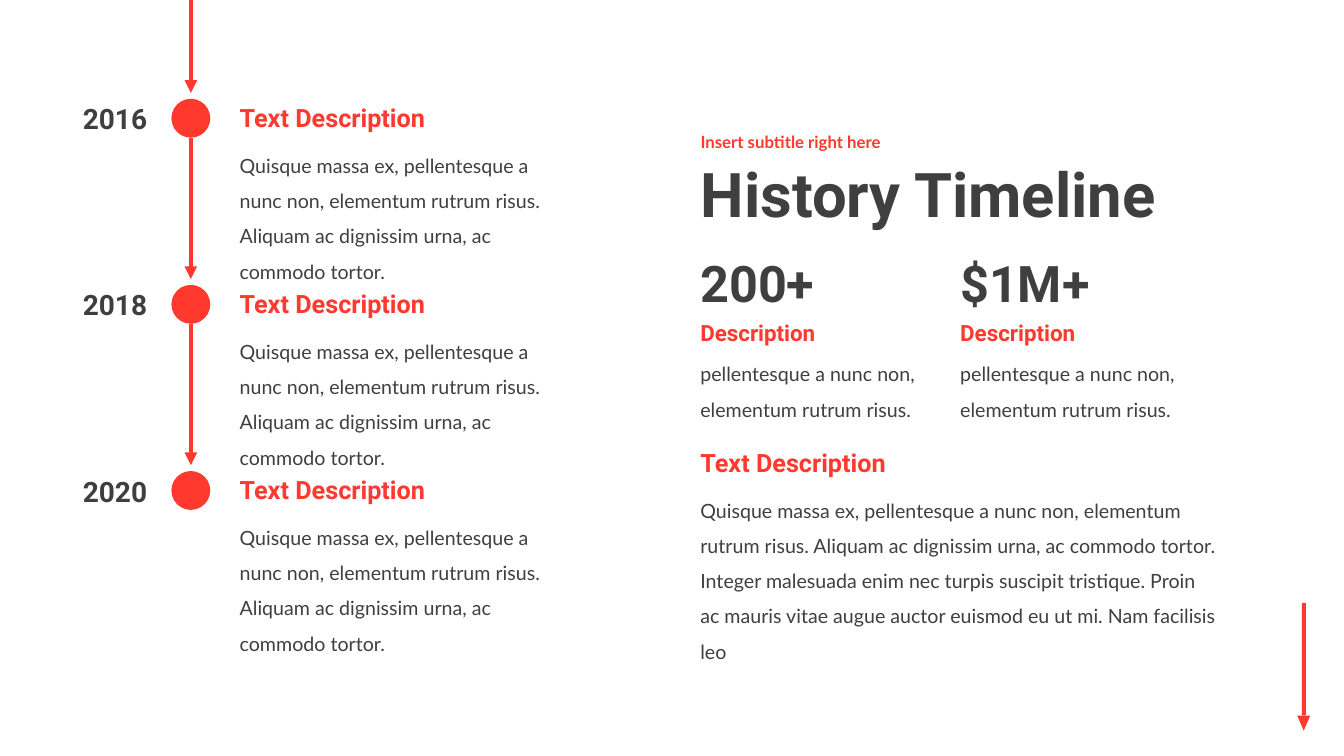
from dataclasses import dataclass

from lxml.etree import SubElement
from pptx import Presentation
from pptx.dml.color import RGBColor
from pptx.enum.shapes import MSO_CONNECTOR, MSO_SHAPE
from pptx.enum.text import MSO_ANCHOR, MSO_AUTO_SIZE, PP_ALIGN
from pptx.oxml.ns import qn
from pptx.shapes.base import BaseShape
from pptx.slide import Slide
from pptx.util import Cm, Pt

RED = RGBColor(0xFF, 0x39, 0x2E)
DARK = RGBColor(0x3F, 0x3F, 0x3F)
WHITE = RGBColor(0xFF, 0xFF, 0xFF)


@dataclass(frozen=True)
class Style:
    font: str
    size: int
    color: RGBColor
    bold: bool = True
    line_spacing: float = 1.0
    align: PP_ALIGN = PP_ALIGN.LEFT


TITLE = Style("Roboto", 44, DARK, line_spacing=0.9)
SUBTITLE = Style("Lato", 12, RED, line_spacing=0.9)
YEAR = Style("Roboto", 20, DARK, align=PP_ALIGN.RIGHT)
HEADING = Style("Roboto", 18, RED)
FIGURE = Style("Roboto", 36, DARK)
FIGURE_LABEL = Style("Roboto", 16, RED)
BODY = Style("Lato", 14, DARK, bold=False, line_spacing=1.5)


@dataclass(frozen=True)
class Box:
    """Left, top, width and height in centimetres."""
    left: float
    top: float
    width: float
    height: float

    def emu(self) -> tuple[Cm, Cm, Cm, Cm]:
        return Cm(self.left), Cm(self.top), Cm(self.width), Cm(self.height)


@dataclass(frozen=True)
class Milestone:
    year: str
    heading: str
    body: str


@dataclass(frozen=True)
class KeyFigure:
    value: str
    label: str
    body: str
    width: float


HEADING_TEXT = "Text Description"
MILESTONE_BODY = ("Quisque massa ex, pellentesque a nunc non, elementum rutrum risus. "
                  "Aliquam ac dignissim urna, ac commodo tortor.")
SUMMARY_BODY = (MILESTONE_BODY + " Integer malesuada enim nec turpis suscipit tristique. "
                "Proin ac mauris vitae augue auctor euismod eu ut mi. Nam facilisis leo")
FIGURE_BODY = "pellentesque a nunc non, elementum rutrum risus."

MILESTONES = [Milestone(year, HEADING_TEXT, MILESTONE_BODY)
              for year in ("2016", "2018", "2020")]
KEY_FIGURES = [
    KeyFigure("200+", "Description", FIGURE_BODY, 4.52),
    KeyFigure("$1M+", "Description", FIGURE_BODY, 5.11),
]

DOT_LEFT, DOT_TOP, DOT_SIZE = 4.32, 2.49, 0.98
AXIS_X = DOT_LEFT + DOT_SIZE / 2
MILESTONE_STEP = 4.69
ARROW_GAP = 0.15
MILESTONE_TEXT_LEFT = 5.79
RIGHT_COLUMN = 17.4
FIGURE_STEP = 6.55


def write(shape: BaseShape, text: str, style: Style) -> None:
    paragraph = shape.text_frame.paragraphs[0]
    paragraph.alignment = style.align
    paragraph.line_spacing = style.line_spacing
    paragraph.space_before = Pt(0)
    run = paragraph.add_run()
    run.text = text
    run.font.name = style.font
    run.font.size = Pt(style.size)
    run.font.bold = style.bold
    run.font.color.rgb = style.color


def add_text(slide: Slide, box: Box, text: str, style: Style) -> None:
    textbox = slide.shapes.add_textbox(*box.emu())
    textbox.text_frame.word_wrap = True
    textbox.text_frame.auto_size = MSO_AUTO_SIZE.SHAPE_TO_FIT_TEXT
    write(textbox, text, style)


def fill_placeholder(placeholder: BaseShape, box: Box, text: str, style: Style) -> None:
    placeholder.left, placeholder.top, placeholder.width, placeholder.height = box.emu()
    frame = placeholder.text_frame
    frame.word_wrap = True
    frame.auto_size = MSO_AUTO_SIZE.NONE
    frame.vertical_anchor = MSO_ANCHOR.MIDDLE
    write(placeholder, text, style)


def add_solid(slide: Slide, kind: MSO_SHAPE, box: Box) -> BaseShape:
    shape = slide.shapes.add_shape(kind, *box.emu())
    shape.shadow.inherit = False
    shape.fill.solid()
    shape.fill.fore_color.rgb = RED
    shape.line.fill.background()
    return shape


def add_axis_arrow(slide: Slide, top: float, bottom: float) -> None:
    arrow = slide.shapes.add_connector(
        MSO_CONNECTOR.STRAIGHT, Cm(AXIS_X), Cm(top), Cm(AXIS_X), Cm(bottom))
    arrow.line.color.rgb = RED
    arrow.line.width = Pt(3)
    SubElement(arrow.line._get_or_add_ln(), qn("a:tailEnd"), type="triangle")
    SubElement(arrow._element.spPr, qn("a:effectLst"))


def add_left_panel(slide: Slide) -> None:
    panel = slide.shapes.add_shape(MSO_SHAPE.RECTANGLE, *Box(0.03, 0, 16.05, 19.05).emu())
    panel.shadow.inherit = False
    panel.line.fill.background()
    panel.fill.gradient()
    panel.fill.gradient_angle = 270
    for stop in panel.fill.gradient_stops:
        stop.color.rgb = WHITE


def add_corner_arrow(slide: Slide) -> None:
    add_solid(slide, MSO_SHAPE.RECTANGLE, Box(32.81, 15.19, 0.1, 2.84))
    head = add_solid(slide, MSO_SHAPE.ISOSCELES_TRIANGLE, Box(32.69, 18.03, 0.33, 0.38))
    head.rotation = 180


def add_timeline(slide: Slide) -> None:
    add_axis_arrow(slide, 0, DOT_TOP - ARROW_GAP)
    for index, milestone in enumerate(MILESTONES):
        top = DOT_TOP + index * MILESTONE_STEP
        add_solid(slide, MSO_SHAPE.OVAL, Box(DOT_LEFT, top, DOT_SIZE, DOT_SIZE))
        if index < len(MILESTONES) - 1:
            add_axis_arrow(slide, top + DOT_SIZE, top + MILESTONE_STEP - ARROW_GAP)
        add_text(slide, Box(1.45, top - 0.05, 2.51, 1.12), milestone.year, YEAR)
        add_text(slide, Box(MILESTONE_TEXT_LEFT, top + 0.96, 8.81, 2.84),
                 milestone.body, BODY)
        add_text(slide, Box(MILESTONE_TEXT_LEFT, top - 0.03, 7.42, 1.02),
                 milestone.heading, HEADING)


def add_key_figures(slide: Slide) -> None:
    for index, figure in enumerate(KEY_FIGURES):
        left = RIGHT_COLUMN + index * FIGURE_STEP
        add_text(slide, Box(left, 8.71, 6.43, 1.96), figure.body, BODY)
        add_text(slide, Box(left, 7.92, 5.08, 0.94), figure.label, FIGURE_LABEL)
        add_text(slide, Box(left, 6.22, figure.width, 1.8), figure.value, FIGURE)


def main() -> None:
    deck = Presentation()
    deck.slide_width, deck.slide_height = Cm(33.87), Cm(19.05)
    slide = deck.slides.add_slide(deck.slide_layouts[0])

    add_corner_arrow(slide)
    add_left_panel(slide)
    fill_placeholder(slide.shapes.title, Box(RIGHT_COLUMN, 3.68, 19.05, 2.62),
                     "History Timeline", TITLE)
    fill_placeholder(slide.placeholders[1], Box(RIGHT_COLUMN, 3.12, 19.05, 0.97),
                     "Insert subtitle right here", SUBTITLE)
    add_timeline(slide)
    add_text(slide, Box(RIGHT_COLUMN, 12.14, 13.54, 3.76), SUMMARY_BODY, BODY)
    add_text(slide, Box(RIGHT_COLUMN, 11.15, 7.42, 1.02), HEADING_TEXT, HEADING)
    add_key_figures(slide)

    deck.save("out.pptx")


if __name__ == "__main__":
    main()
